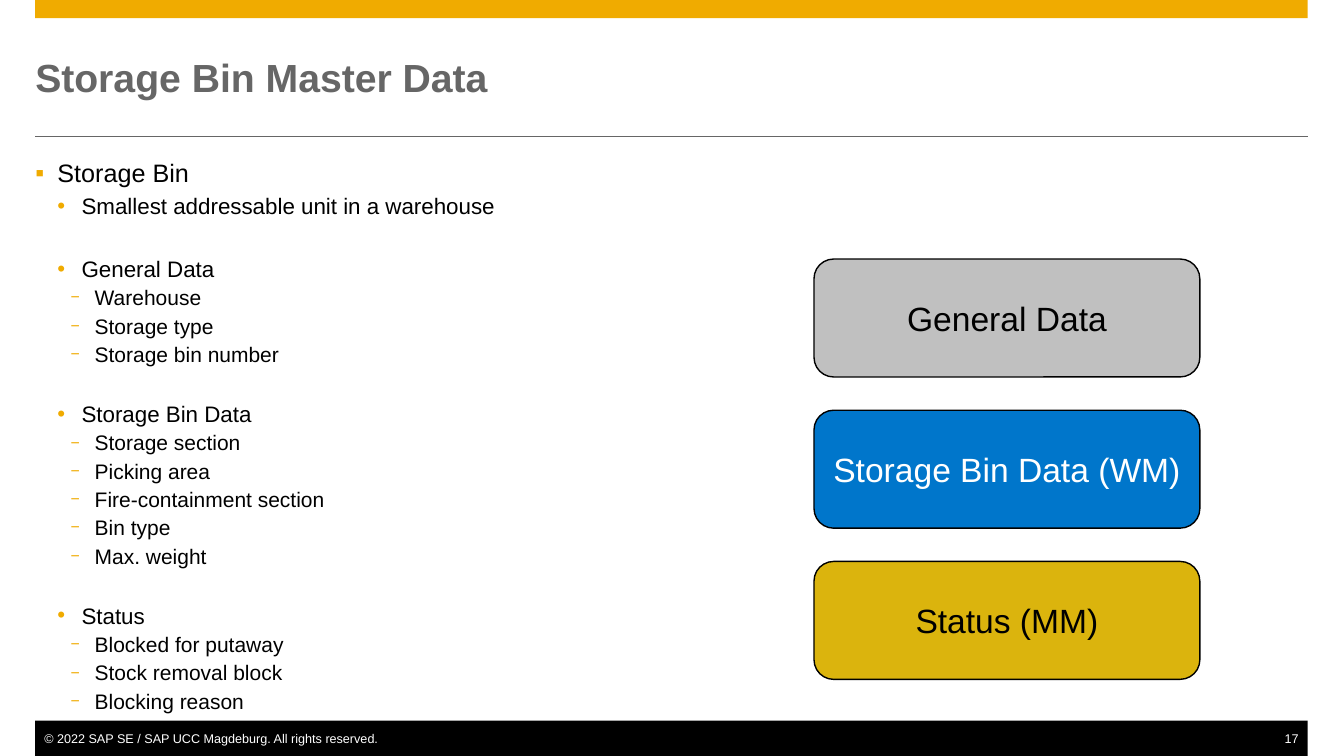
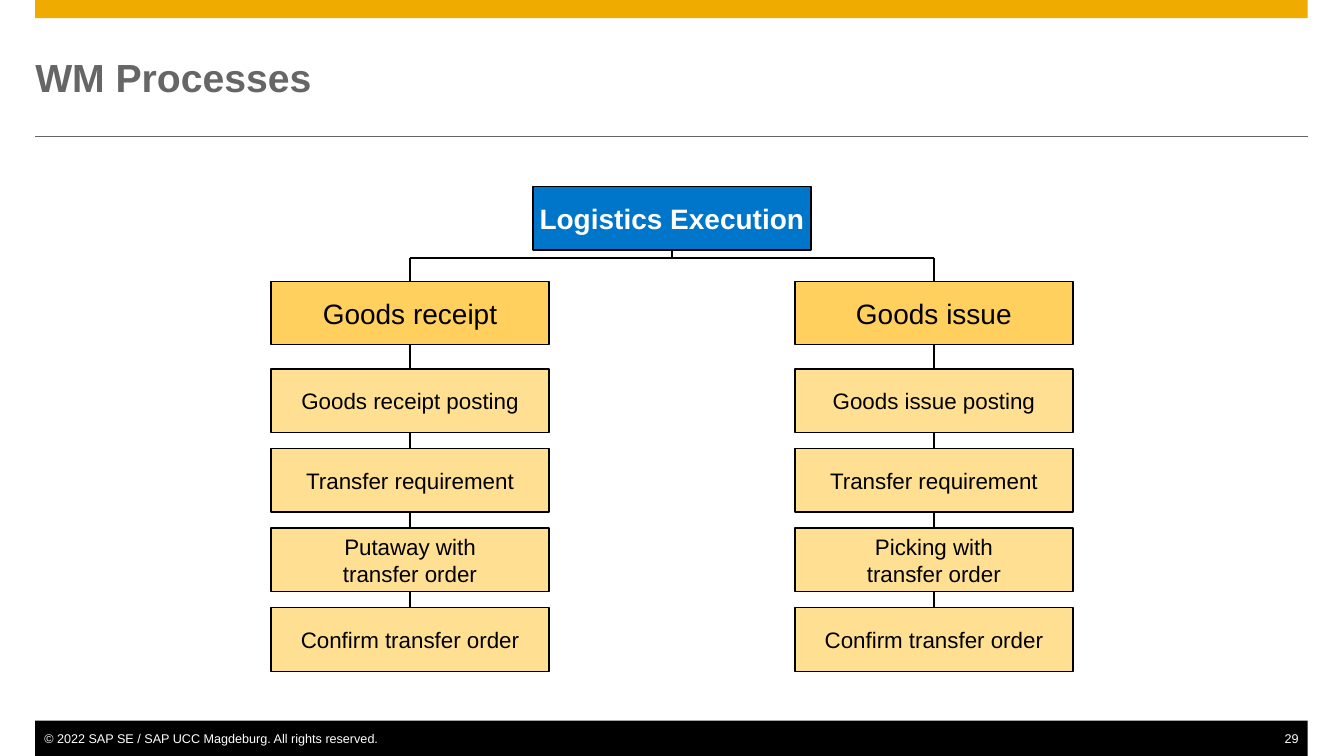
"""Builds two warehouse management slides: storage bin master data and process overview."""
from lxml import etree
from pptx import Presentation
from pptx.dml.color import RGBColor
from pptx.enum.shapes import MSO_CONNECTOR, MSO_SHAPE
from pptx.enum.text import MSO_ANCHOR, MSO_AUTO_SIZE, PP_ALIGN
from pptx.oxml.ns import qn
from pptx.util import Inches, Pt

STRAIGHT = MSO_CONNECTOR.STRAIGHT
RECTANGLE, ROUNDED = MSO_SHAPE.RECTANGLE, MSO_SHAPE.ROUNDED_RECTANGLE
TOP, MIDDLE = MSO_ANCHOR.TOP, MSO_ANCHOR.MIDDLE
LEFT, CENTER, RIGHT = PP_ALIGN.LEFT, PP_ALIGN.CENTER, PP_ALIGN.RIGHT
NO_AUTOFIT = MSO_AUTO_SIZE.NONE
TOP_SIDE, BOTTOM_SIDE = 0, 2

GOLD = RGBColor(0xF0, 0xAB, 0x00)
GRAY = RGBColor(0x66, 0x66, 0x66)
BLACK = RGBColor(0x00, 0x00, 0x00)
WHITE = RGBColor(0xFF, 0xFF, 0xFF)
SILVER = RGBColor(0xC0, 0xC0, 0xC0)
BLUE = RGBColor(0x00, 0x76, 0xCB)
MUSTARD = RGBColor(0xDB, 0xB4, 0x0D)
AMBER = RGBColor(0xFF, 0xD0, 0x5D)
CREAM = RGBColor(0xFF, 0xE0, 0x93)

FONT = "Arial"
WIDTH, HEIGHT = 13.34, 7.5
MARGIN, CONTENT_WIDTH = 0.35, 12.63
FOOTER_TOP, FOOTER_HEIGHT = 7.15, 0.35
TITLE_AND_BODY, TITLE_ONLY = 1, 5
COPYRIGHT = "© 2022 SAP SE / SAP UCC Magdeburg. All rights reserved."

BIN_INTRO = ("Storage Bin", "Smallest addressable unit in a warehouse")
BIN_GROUPS = [
    ("General Data", ["Warehouse", "Storage type", "Storage bin number"]),
    ("Storage Bin Data", ["Storage section", "Picking area", "Fire-containment section",
                          "Bin type", "Max. weight"]),
    ("Status", ["Blocked for putaway", "Stock removal block", "Blocking reason"]),
]
DATA_CARDS = [
    ("General Data", SILVER, BLACK),
    ("Storage Bin Data (WM)", BLUE, WHITE),
    ("Status (MM)", MUSTARD, BLACK),
]
PROCESS_ROOT = "Logistics Execution"
PROCESSES = [
    ("Goods receipt", ["Goods receipt posting", "Transfer requirement",
                       "Putaway with\ntransfer order", "Confirm transfer order"]),
    ("Goods issue", ["Goods issue posting", "Transfer requirement",
                     "Picking with\ntransfer order", "Confirm transfer order"]),
]

# level: (indent, hanging, bullet, bullet percent, size, space before)
BULLET_LEVELS = [
    (0.22, 0.22, "▪", 100, 18, 0),
    (0.46, 0.24, "•", 100, 16, 3.4),
    (0.59, 0.24, "−", 75, 15, 2.2),
]
GROUP_GAPS = (25.6, 23.8, 23.8)


def style_font(paragraph, size, color, bold=False):
    font = paragraph.font
    font.name, font.size, font.bold = FONT, Pt(size), bold
    font.color.rgb = color


def set_frame(frame, anchor, wrap=True, margins=(0, 0, 0, 0)):
    frame.auto_size = NO_AUTOFIT
    frame.word_wrap, frame.vertical_anchor = wrap, anchor
    (frame.margin_left, frame.margin_top,
     frame.margin_right, frame.margin_bottom) = map(Inches, margins)


def place(shape, left, top, width, height):
    shape.left, shape.top = Inches(left), Inches(top)
    shape.width, shape.height = Inches(width), Inches(height)


def write(frame, text, size, color, align, bold=False):
    frame.text = text
    for paragraph in frame.paragraphs:
        paragraph.alignment = align
        style_font(paragraph, size, color, bold)


def add_box(slide, kind, position, fill, outlined=True):
    shape = slide.shapes.add_shape(kind, *map(Inches, position))
    shape.shadow.inherit = False
    shape.fill.solid()
    shape.fill.fore_color.rgb = fill
    if outlined:
        shape.line.color.rgb = BLACK
        shape.line.width = Pt(1)
    else:
        shape.line.fill.background()
    return shape


def add_labelled_box(slide, kind, position, fill, text, size, color=BLACK, bold=False):
    shape = add_box(slide, kind, position, fill)
    set_frame(shape.text_frame, MIDDLE, wrap=False)
    write(shape.text_frame, text, size, color, CENTER, bold)
    return shape


def add_line(slide, start, end, color=BLACK, width=1):
    line = slide.shapes.add_connector(STRAIGHT, *map(Inches, (*start, *end)))
    line.line.color.rgb = color
    line.line.width = Pt(width)
    etree.SubElement(line._element.spPr, qn("a:effectLst"))
    return line


def add_footer_text(slide, text, left, width, align, margins):
    box = slide.shapes.add_textbox(*map(Inches, (left, FOOTER_TOP, width, FOOTER_HEIGHT)))
    set_frame(box.text_frame, MIDDLE, margins=margins)
    write(box.text_frame, text, 9, WHITE, align)


def add_slide(presentation, layout, title, number):
    slide = presentation.slides.add_slide(presentation.slide_layouts[layout])
    add_box(slide, RECTANGLE, (MARGIN, 0, CONTENT_WIDTH, 0.18), GOLD, outlined=False)
    add_line(slide, (MARGIN, 1.35), (MARGIN + CONTENT_WIDTH, 1.35), GRAY, 0.5)
    add_box(slide, RECTANGLE, (MARGIN, FOOTER_TOP, CONTENT_WIDTH, FOOTER_HEIGHT), BLACK,
            outlined=False)
    add_footer_text(slide, COPYRIGHT, MARGIN, 6, LEFT, (0.09, 0, 0, 0))
    add_footer_text(slide, str(number), MARGIN + CONTENT_WIDTH - 1, 1, RIGHT, (0, 0, 0.09, 0))
    place(slide.shapes.title, MARGIN, 0.35, CONTENT_WIDTH, 0.83)
    set_frame(slide.shapes.title.text_frame, MIDDLE)
    write(slide.shapes.title.text_frame, title, 28, GRAY, LEFT, bold=True)
    return slide


def format_bullet(paragraph, level, space_before=None):
    indent, hanging, character, percent, size, default_space = BULLET_LEVELS[level]
    paragraph.level = level
    properties = paragraph._p.get_or_add_pPr()
    properties.set("marL", str(Inches(indent)))
    properties.set("indent", str(-Inches(hanging)))
    color = etree.SubElement(properties, qn("a:buClr"))
    etree.SubElement(color, qn("a:srgbClr"), val=str(GOLD))
    etree.SubElement(properties, qn("a:buSzPct"), val=str(percent * 1000))
    etree.SubElement(properties, qn("a:buFont"), typeface=FONT)
    etree.SubElement(properties, qn("a:buChar"), char=character)
    paragraph.space_before = Pt(default_space if space_before is None else space_before)
    style_font(paragraph, size, BLACK)


def build_storage_bin_slide(presentation):
    slide = add_slide(presentation, TITLE_AND_BODY, "Storage Bin Master Data", 17)
    body = slide.placeholders[1]
    place(body, MARGIN, 1.56, CONTENT_WIDTH / 2, FOOTER_TOP - 1.56)
    set_frame(body.text_frame, TOP)
    items = [(text, level, None) for level, text in enumerate(BIN_INTRO)]
    for (heading, details), gap in zip(BIN_GROUPS, GROUP_GAPS):
        items.append((heading, 1, gap))
        items += [(detail, 2, None) for detail in details]
    body.text_frame.text = "\n".join(text for text, _, _ in items)
    for paragraph, (_, level, gap) in zip(body.text_frame.paragraphs, items):
        format_bullet(paragraph, level, gap)

    for row, (text, fill, color) in enumerate(DATA_CARDS):
        position = (8.08, 2.57 + 1.5 * row, 3.83, 1.17)
        add_labelled_box(slide, ROUNDED, position, fill, text, 24, color)


def build_process_slide(presentation):
    slide = add_slide(presentation, TITLE_ONLY, "WM Processes", 29)
    box_width, box_height = 2.76, 0.63
    center, column_offset = WIDTH / 2, 2.6
    root_top, bus_top, head_top, step_top, step_pitch = 1.85, 2.56, 2.79, 3.66, 0.79

    def add_process_box(middle, top, *label):
        position = (middle - box_width / 2, top, box_width, box_height)
        return add_labelled_box(slide, RECTANGLE, position, *label)

    root = add_process_box(center, root_top, BLUE, PROCESS_ROOT, 20, WHITE, True)
    stem = add_line(slide, (center, root_top + box_height), (center, bus_top))
    stem.begin_connect(root, BOTTOM_SIDE)
    columns = (center - column_offset, center + column_offset)
    add_line(slide, (columns[0], bus_top), (columns[1], bus_top))

    for middle, (heading, steps) in zip(columns, PROCESSES):
        previous = add_process_box(middle, head_top, AMBER, heading, 20)
        drop = add_line(slide, (middle, bus_top), (middle, head_top))
        drop.end_connect(previous, TOP_SIDE)
        for row, step in enumerate(steps):
            top = step_top + step_pitch * row
            box = add_process_box(middle, top, CREAM, step, 16)
            link = add_line(slide, (middle, top), (middle, top))
            link.begin_connect(previous, BOTTOM_SIDE)
            link.end_connect(box, TOP_SIDE)
            previous = box


def main():
    presentation = Presentation()
    presentation.slide_width, presentation.slide_height = Inches(WIDTH), Inches(HEIGHT)
    build_storage_bin_slide(presentation)
    build_process_slide(presentation)
    presentation.save("out.pptx")


if __name__ == "__main__":
    main()
